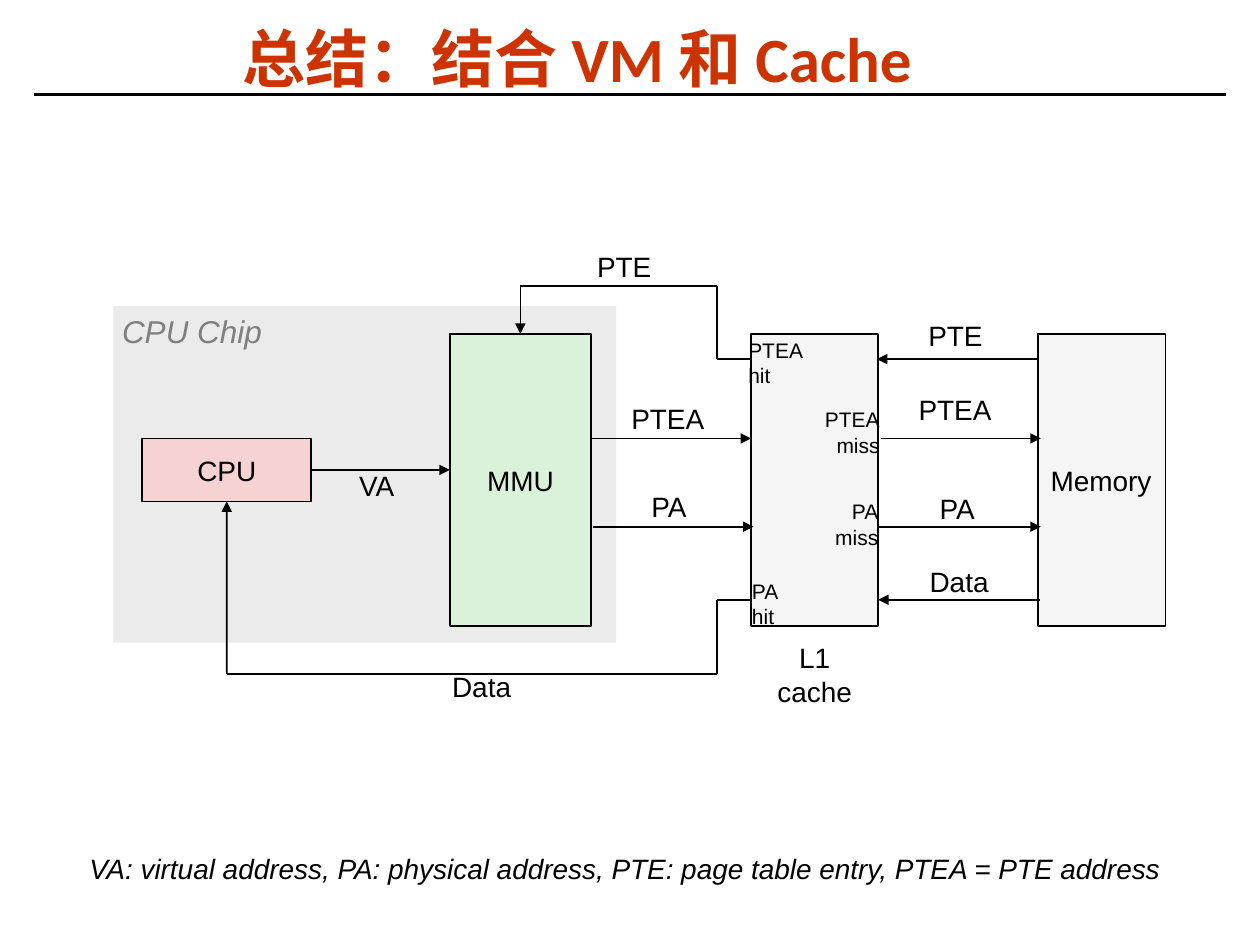
from dataclasses import dataclass
from itertools import pairwise
from typing import Optional

from lxml.etree import SubElement
from pptx import Presentation
from pptx.dml.color import RGBColor
from pptx.enum.shapes import MSO_CONNECTOR, MSO_SHAPE
from pptx.enum.text import MSO_ANCHOR, MSO_AUTO_SIZE, PP_ALIGN
from pptx.oxml.ns import qn
from pptx.util import Inches, Pt

COLORS = {
    "black": "000000",
    "title": "CC3300",
    "chip": "EBEBEB",
    "chip_text": "7F7F7F",
    "cpu": "F6D2D2",
    "mmu": "DBF2DA",
    "storage": "F5F5F5",
}
TOP, LEFT, BOTTOM, RIGHT = range(4)
BLOCK_TOP, BLOCK_HEIGHT = 2.65, 2.32
LANE_X = 5.69
PTE_Y, PTEA_Y, PA_Y, DATA_Y = 2.85, 3.48, 4.18, 4.76


@dataclass
class Block:
    name: str
    left: float
    top: float
    width: float
    height: float
    fill: str
    text: str = ""
    align: PP_ALIGN = PP_ALIGN.CENTER
    outlined: bool = True


@dataclass
class Label:
    text: str
    left: float
    top: float
    width: float
    height: float
    size: int = 16
    align: PP_ALIGN = PP_ALIGN.LEFT
    tight: bool = False
    italic: bool = False
    color: str = "black"


@dataclass
class Route:
    points: list[tuple[float, float]]
    start: Optional[tuple[str, int]] = None
    end: Optional[tuple[str, int]] = None
    arrow: bool = True
    weight: float = 1


BLOCKS = [
    Block("chip", 0.9, 2.43, 3.99, 2.67, "chip", outlined=False),
    Block("cpu", 1.13, 3.48, 1.34, 0.5, "cpu", "CPU"),
    Block("mmu", 3.57, BLOCK_TOP, 1.12, BLOCK_HEIGHT, "mmu", "MMU"),
    Block("cache", 5.96, BLOCK_TOP, 1.01, BLOCK_HEIGHT, "storage"),
    Block("memory", 8.24, BLOCK_TOP, 1.01, BLOCK_HEIGHT, "storage", "Memory", PP_ALIGN.LEFT),
]

ROUTES = [
    Route([(0.27, 0.75), (9.73, 0.75)], arrow=False, weight=1.5),
    Route([(2.47, 3.73), (3.57, 3.73)], start=("cpu", RIGHT)),
    Route([(4.69, PTEA_Y), (5.96, PTEA_Y)]),
    Route([(4.71, PA_Y), (5.98, PA_Y)]),
    Route([(8.24, PTE_Y), (6.96, PTE_Y)]),
    Route([(6.99, PTEA_Y), (8.26, PTEA_Y)]),
    Route([(6.97, PA_Y), (8.26, PA_Y)]),
    Route([(8.25, DATA_Y), (6.97, DATA_Y)]),
    Route([(5.96, PTE_Y), (LANE_X, PTE_Y), (LANE_X, 2.27), (4.13, 2.27), (4.13, 2.65)],
          end=("mmu", TOP)),
    Route([(5.96, DATA_Y), (LANE_X, DATA_Y), (LANE_X, 5.35), (1.8, 5.35), (1.8, 3.98)],
          end=("cpu", BOTTOM)),
]

LABELS = [
    Label("CPU Chip", 0.87, 2.43, 1.31, 0.4, size=18, italic=True, color="chip_text"),
    Label("VA", 2.78, 3.73, 0.44, 0.28, tight=True),
    Label("PTEA", 4.94, 3.2, 0.72, 0.28, tight=True),
    Label("PA", 5.1, 3.9, 0.44, 0.28, tight=True),
    Label("PTEA", 7.22, 3.13, 0.72, 0.28, tight=True),
    Label("PTE", 4.64, 1.93, 0.63, 0.37),
    Label("PTE", 7.27, 2.48, 0.63, 0.37),
    Label("PA", 7.36, 3.85, 0.49, 0.37),
    Label("Data", 7.28, 4.43, 0.67, 0.37),
    Label("Data", 3.49, 5.26, 0.67, 0.37),
    Label("PTEA\nhit", 5.84, 2.63, 0.68, 0.5, size=12),
    Label("PA\nhit", 5.87, 4.54, 0.47, 0.5, size=12),
    Label("PTEA\nmiss", 6.39, 3.18, 0.69, 0.5, size=12, align=PP_ALIGN.RIGHT),
    Label("PA\nmiss", 6.53, 3.91, 0.54, 0.5, size=12, align=PP_ALIGN.RIGHT),
    Label("L1\ncache", 6.07, 5.03, 0.79, 0.64, align=PP_ALIGN.CENTER),
    Label("VA: virtual address, PA: physical address, PTE: page table entry, PTEA = PTE address",
          0.64, 6.77, 8.7, 0.28, tight=True, italic=True),
]


def rgb(name: str) -> RGBColor:
    return RGBColor.from_string(COLORS[name])


def set_margins(frame, horizontal: float, vertical: float) -> None:
    frame.margin_left = frame.margin_right = Inches(horizontal)
    frame.margin_top = frame.margin_bottom = Inches(vertical)


def write_text(frame, text: str, size: int, align: PP_ALIGN, color: str = "black",
               font_name: str = "Arial", italic: Optional[bool] = None,
               bold: Optional[bool] = None, spacing: Optional[float] = None) -> None:
    frame.text = text
    for paragraph in frame.paragraphs:
        paragraph.alignment = align
        paragraph.line_spacing = spacing
        font = paragraph.font
        font.name, font.size = font_name, Pt(size)
        font.italic, font.bold = italic, bold
        font.color.rgb = rgb(color)


def add_title(slide, text: str) -> None:
    title = slide.shapes.title
    title.left, title.top = Inches(0.43), Inches(0.21)
    title.width, title.height = Inches(8.3), Inches(0.58)
    frame = title.text_frame
    set_margins(frame, 0.07, 0.03)
    frame.vertical_anchor = MSO_ANCHOR.TOP
    frame.auto_size = MSO_AUTO_SIZE.NONE
    write_text(frame, text, 36, PP_ALIGN.CENTER, "title", "Calibri", bold=True, spacing=0.87)


def add_block(slide, block: Block):
    shape = slide.shapes.add_shape(
        MSO_SHAPE.RECTANGLE, Inches(block.left), Inches(block.top),
        Inches(block.width), Inches(block.height))
    shape.shadow.inherit = False
    shape.fill.solid()
    shape.fill.fore_color.rgb = rgb(block.fill)
    if block.outlined:
        shape.line.color.rgb = rgb("black")
        shape.line.width = Pt(1)
    else:
        shape.line.fill.background()
    if block.text:
        frame = shape.text_frame
        frame.word_wrap = False
        frame.vertical_anchor = MSO_ANCHOR.MIDDLE
        write_text(frame, block.text, 16, block.align)
    return shape


def add_route(slide, route: Route, shapes: dict) -> None:
    connectors = []
    for (x1, y1), (x2, y2) in pairwise(route.points):
        connector = slide.shapes.add_connector(
            MSO_CONNECTOR.STRAIGHT, Inches(x1), Inches(y1), Inches(x2), Inches(y2))
        connector.line.color.rgb = rgb("black")
        connector.line.width = Pt(route.weight)
        SubElement(connector._element.spPr, qn("a:effectLst"))
        connectors.append(connector)
    if route.start:
        name, site = route.start
        connectors[0].begin_connect(shapes[name], site)
    if route.end:
        name, site = route.end
        connectors[-1].end_connect(shapes[name], site)
    if route.arrow:
        SubElement(connectors[-1].line._get_or_add_ln(), qn("a:tailEnd"), type="triangle")


def add_label(slide, label: Label) -> None:
    box = slide.shapes.add_textbox(
        Inches(label.left), Inches(label.top), Inches(label.width), Inches(label.height))
    frame = box.text_frame
    frame.word_wrap = False
    frame.auto_size = MSO_AUTO_SIZE.SHAPE_TO_FIT_TEXT
    frame.vertical_anchor = MSO_ANCHOR.TOP if label.tight else MSO_ANCHOR.MIDDLE
    if label.tight:
        set_margins(frame, 0.07, 0.03)
    write_text(frame, label.text, label.size, label.align, label.color,
               italic=label.italic, spacing=0.85 if label.tight else None)


def main() -> None:
    """Build the slide on combining virtual memory and cache."""
    presentation = Presentation()
    presentation.slide_width, presentation.slide_height = Inches(10), Inches(7.5)
    slide = presentation.slides.add_slide(presentation.slide_layouts[5])
    add_title(slide, "总结：结合 VM 和 Cache")
    shapes = {block.name: add_block(slide, block) for block in BLOCKS}
    for route in ROUTES:
        add_route(slide, route, shapes)
    for label in LABELS:
        add_label(slide, label)
    presentation.save("out.pptx")


if __name__ == "__main__":
    main()
